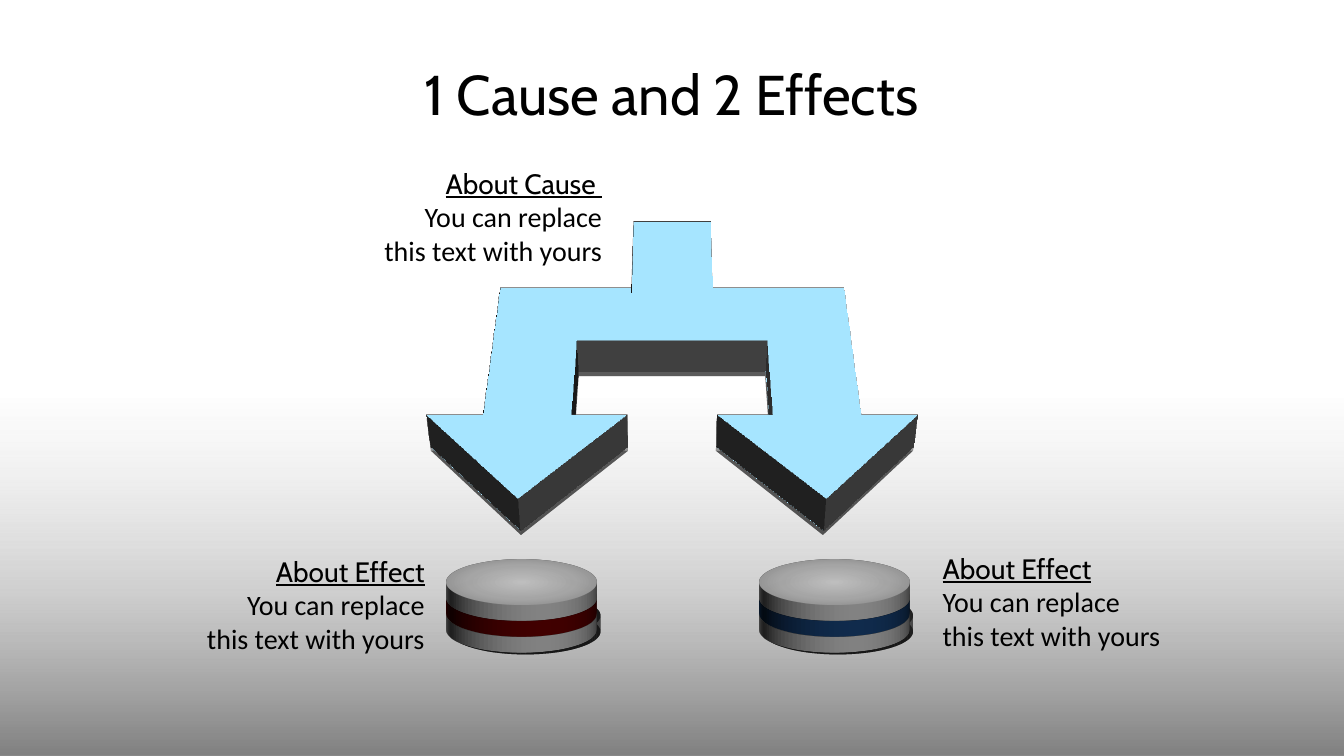
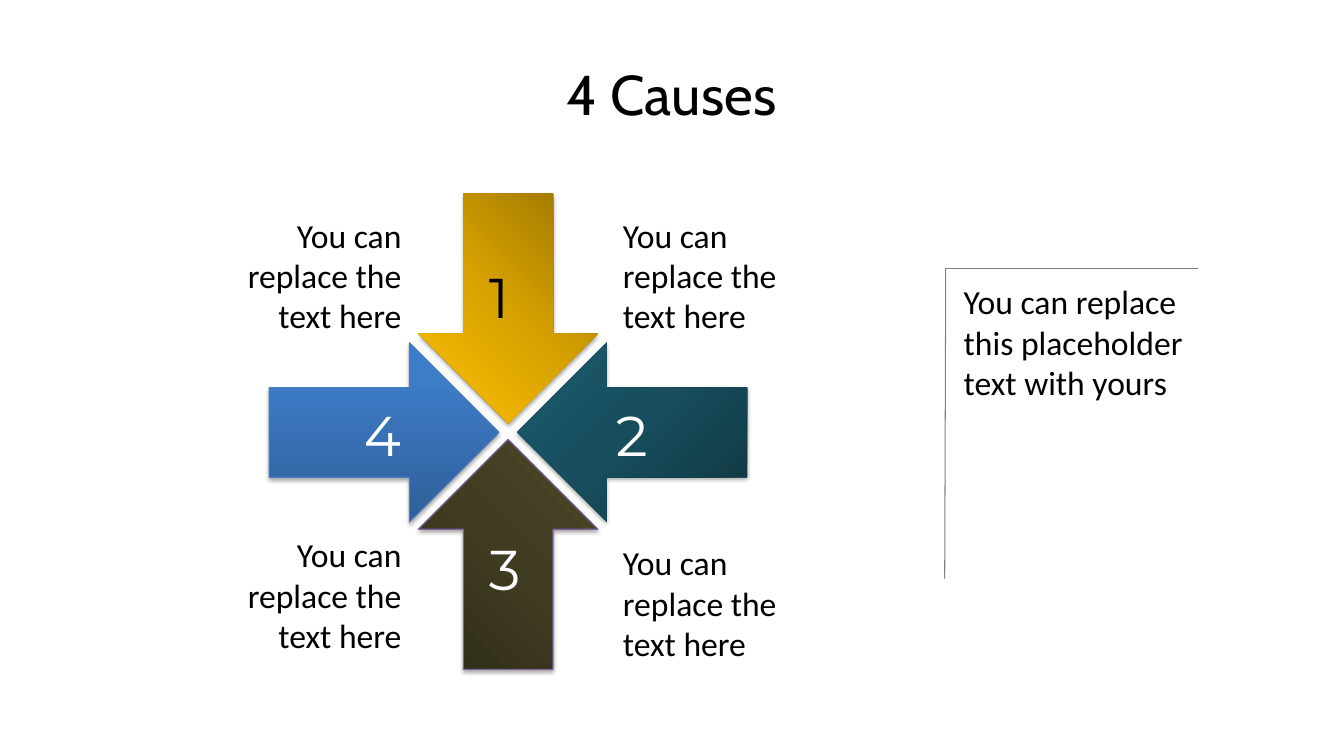
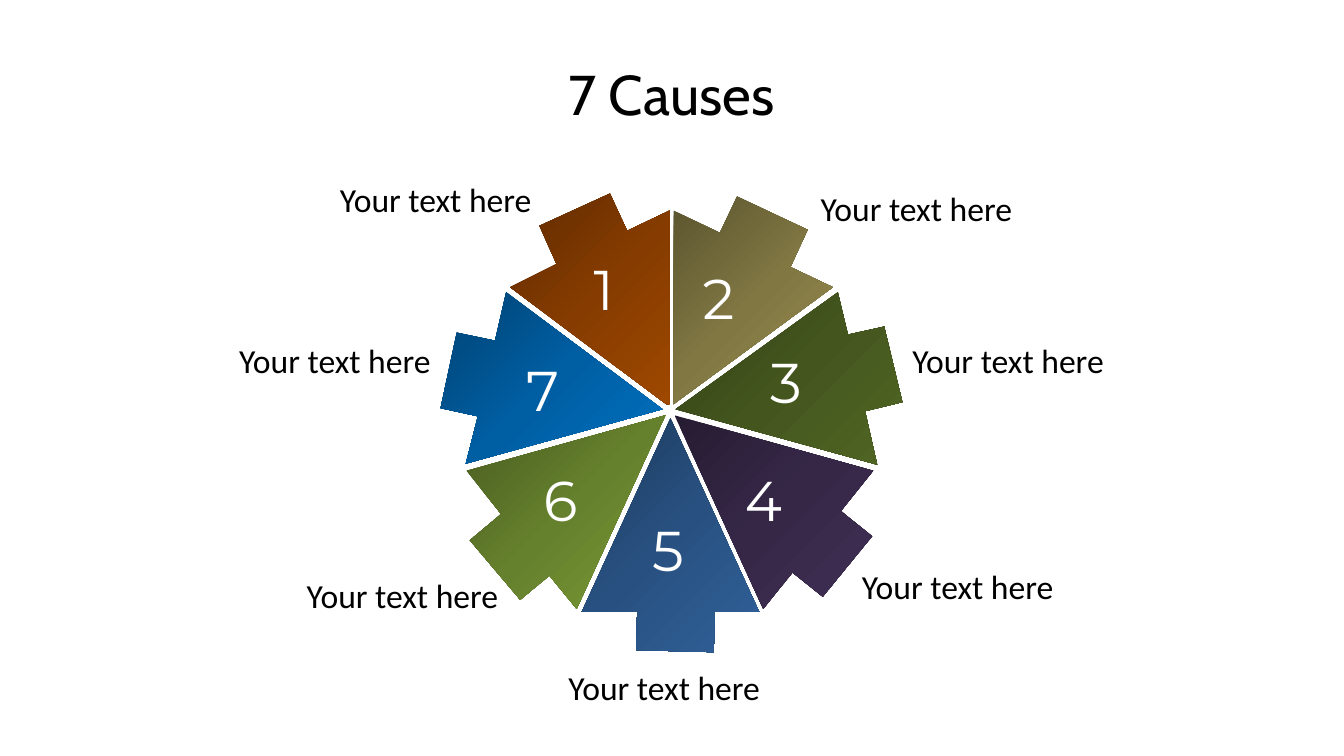
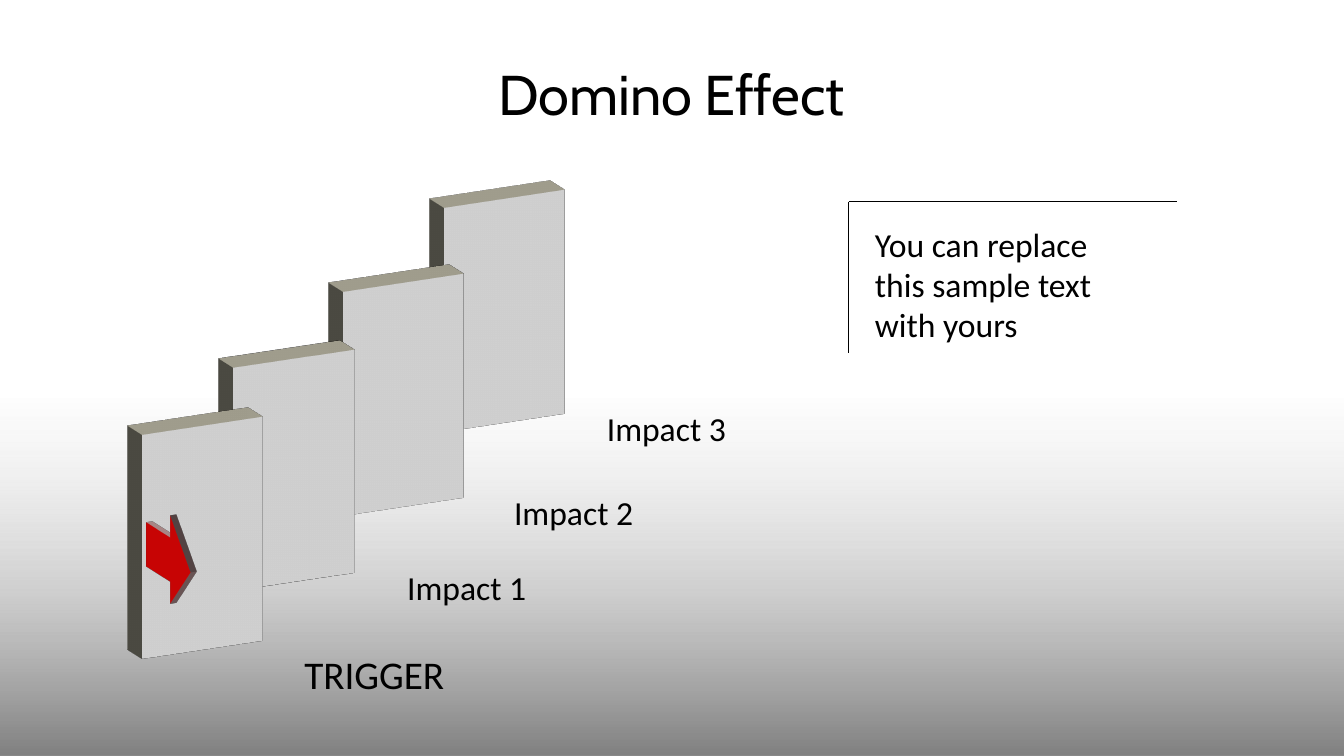
from dataclasses import dataclass

from lxml import etree
from pptx import Presentation
from pptx.dml.color import RGBColor
from pptx.enum.shapes import MSO_CONNECTOR, MSO_SHAPE
from pptx.enum.text import MSO_ANCHOR, PP_ALIGN
from pptx.oxml.ns import qn
from pptx.util import Cm, Pt

LEFT, CENTER, RIGHT = PP_ALIGN.LEFT, PP_ALIGN.CENTER, PP_ALIGN.RIGHT
MIDDLE, TOP = MSO_ANCHOR.MIDDLE, MSO_ANCHOR.TOP
RECTANGLE, OVAL = MSO_SHAPE.RECTANGLE, MSO_SHAPE.OVAL
RIGHT_ARROW = MSO_SHAPE.RIGHT_ARROW
STRAIGHT = MSO_CONNECTOR.STRAIGHT


# Shared look; a gradient stop is (percent, colour, opacity percent)
@dataclass(frozen=True)
class Theme:
    width: float = 13.33
    height: float = 7.5
    black: str = "000000"
    white: str = "FFFFFF"
    gray: str = "808080"
    thin: float = 0.75
    thick: float = 2
    floor: tuple = ((0, "D9D9D9", 4), (46, "BFBFBF", 60), (100, "808080", 100))
    lid: tuple = ((0, "BFBFBF", 100), (50, "A6A6A6", 100), (100, "808080", 100))
    ring: tuple = ((0, "D9D9D9", 100), (50, "BFBFBF", 100), (100, "4A452A", 100))
    fork: str = "2C6AB6"
    domino: str = "BFBFBF"
    push: str = "C00000"


THEME = Theme()
TITLE = {"name": "Cabin", "size": Pt(40)}
HEADING = {"name": "Cabin", "size": Pt(20), "underline": True}
DETAIL = {"name": "Calibri", "size": Pt(20)}
BODY = {"name": "Calibri", "size": Pt(24)}
STRONG = {"name": "Calibri", "size": Pt(28)}
NUMBER = {"name": "Montserrat", "size": Pt(40)}

# Solid looks: camera, turn (latitude, longitude), depth in points, side, material
FORK_SOLID = ("perspectiveRelaxed", (309.6, 0), 30, "808080", "metal")
DISC_VIEW = ("orthographicFront", (288, 0), 12)
DOMINO_SOLID = ("isometricOffAxis1Right", (18, 334), 24, "DDD9C3", "warmMatte")
PUSH_SOLID = ("isometricOffAxis1Left", (18, 64), 5, "E6B9B8", "warmMatte")

# Shadows: opacity percent, blur, distance, direction
FORK_SHADOW = (40, 17, 3, 90)
DISC_SHADOW = (40, 34, 3, 32)
ARROW_SHADOW = (35, 3.1, 1.8, 90)
DOMINO_SHADOW = (20, 6, 0, 315)

# Content; places are in layout units of 2.54 cm
UNIT = 2.54

CAUSE_NOTES = [  # left, top, heading, alignment
    (3.66, 1.6, "About Cause ", RIGHT),
    (1.9, 5.45, "About Effect", RIGHT),
    (9.25, 5.42, "About Effect", LEFT),
]
CAUSE_DETAIL = "You can replace this text with yours"
FORK_HALF = [(0.42, 1.29), (0.42, 2.48), (1.77, 2.48), (1.77, 4.44), (2.3, 4.44),
             (1.36, 5.55), (0.42, 4.44), (0.94, 4.44), (0.94, 3.34)]
DISCS = [(4.43, "800000"), (7.53, "215596")]  # left, stripe colour
DISC_TOPS = (5.35, 5.19, 5.04)

FOUR_TEXT = "You can replace the text here"
FOUR_CAUSES = [  # centre, rotation, colours, angle, text place, number place
    ((5.04, 3.06), 90, ("977200", "D7A200", "FFC000"), 45,
     (6.08, 2.08, LEFT), (4.75, 2.56), THEME.black),
    ((6.27, 4.29), 180, ("103641", "174D5C", "1C5C6D"), 45,
     (6.08, 5.33, LEFT), (6.01, 3.92), THEME.white),
    ((5.04, 5.5), 270, ("2D2A17", "403C21", "4C4727"), 45,
     (2, 5.25, RIGHT), (4.75, 5.25), THEME.white),
    ((3.81, 4.29), 0, ("2F5F99", "3D7CC7", "3A7CCB"), 270,
     (2, 2.08, RIGHT), (3.51, 3.92), THEME.white),
]
FOUR_EDGES = {270: "7D60A0", 0: "4B7EBC"}
FOUR_NOTE = "You can replace this placeholder text with yours"

SEVEN_TEXT = "Your text here"
SEVEN_CAUSES = [  # colours, label place, number place, outline
    (("5E2A00", "863C00", "9E4800"), (2.7, 1.73, RIGHT), (5.79, 2.48),
     [(6.22, 2.29), (6.05, 1.92), (5.35, 2.24), (5.52, 2.62), (5.06, 2.85),
      (6.61, 4.01), (6.64, 4.01), (6.64, 2.09)]),
    (("5A542F", "817743", "998D4F"), (8.04, 1.82, LEFT), (6.87, 2.57),
     [(7.84, 2.65), (8.01, 2.28), (7.31, 1.95), (7.14, 2.31), (6.68, 2.09),
      (6.68, 4.01), (8.26, 2.85)]),
    (("303D15", "44561E", "516624"), (8.95, 3.32, LEFT), (7.54, 3.4),
     [(8.95, 3.99), (8.77, 3.24), (8.41, 3.32), (8.31, 2.9), (6.7, 4.06),
      (8.7, 4.61), (8.58, 4.08)]),
    (("261C32", "362747", "402F54"), (8.45, 5.57, LEFT), (7.29, 4.57),
     [(8.66, 4.67), (6.69, 4.12), (7.57, 6.04), (7.86, 5.68), (8.16, 5.92),
      (8.65, 5.32), (8.34, 5.07)]),
    (("1C395B", "285181", "306099"), (5.54, 6.57, LEFT), (6.37, 5.07),
     [(7.53, 6.07), (6.65, 4.15), (5.77, 6.07), (6.32, 6.07), (6.31, 6.45),
      (7.08, 6.47), (7.09, 6.07)]),
    (("485B20", "66812D", "799936"), (2.37, 5.65, RIGHT), (5.29, 4.57),
     [(6.6, 4.12), (4.63, 4.67), (4.97, 5.1), (4.66, 5.36), (5.16, 5.95),
      (5.45, 5.71), (5.72, 6.04)]),
    (("004272", "005EA2", "0070C0"), (1.7, 3.32, RIGHT), (5.12, 3.48),
     [(6.57, 4.06), (5.02, 2.9), (4.91, 3.38), (4.53, 3.3), (4.37, 4.05),
      (4.74, 4.13), (4.62, 4.6)]),
]

DOMINOES = [(4.34, 1.92), (3.34, 2.75), (2.25, 3.5), (1.34, 4.17)]
DOMINO_LABELS = [  # left, top, width, height, text, style
    (2.92, 6.4, 1.6, 0.57, "TRIGGER", STRONG),
    (3.94, 5.58, 1.39, 0.5, "Impact 1", BODY),
    (5, 4.83, 1.39, 0.5, "Impact 2", BODY),
    (5.92, 4, 1.39, 0.5, "Impact 3", BODY),
]
DOMINO_NOTE = "You can replace this sample text with yours"


# Helpers
def units(*values):
    return [Cm(value * UNIT) for value in values]


def three_stops(colors, middle=50):
    return tuple((place, color, 100)
                 for place, color in zip((0, middle, 100), colors))


def add_color(parent, color, opacity=100):
    tone = etree.SubElement(parent, qn("a:srgbClr"), val=color)
    if opacity < 100:
        etree.SubElement(tone, qn("a:alpha"), val=str(opacity * 1000))


def degrees(value):
    return str(round(value * 60000))


def paint_gradient(shape, stops, angle):
    """Fill with stops; an angle of None spreads them from the centre."""
    shape.fill.background()
    properties = shape._element.spPr
    gradient = etree.Element(qn("a:gradFill"), rotWithShape="1")
    stop_list = etree.SubElement(gradient, qn("a:gsLst"))
    for place, color, opacity in stops:
        stop = etree.SubElement(stop_list, qn("a:gs"), pos=str(place * 1000))
        add_color(stop, color, opacity)
    if angle is None:
        spread = etree.SubElement(gradient, qn("a:path"), path="circle")
        etree.SubElement(spread, qn("a:fillToRect"),
                         dict.fromkeys("ltrb", "50000"))
    else:
        etree.SubElement(gradient, qn("a:lin"), ang=degrees(angle), scaled="0")
    properties.replace(properties.find(qn("a:noFill")), gradient)


def paint(shape, fill, angle=0, edge=None, weight=THEME.thin):
    shape.shadow.inherit = False
    if isinstance(fill, str):
        shape.fill.solid()
        shape.fill.fore_color.rgb = RGBColor.from_string(fill)
    else:
        paint_gradient(shape, fill, angle)
    if edge:
        shape.line.color.rgb = RGBColor.from_string(edge)
        shape.line.width = Pt(weight)
    else:
        shape.line.fill.background()
    return shape


def add_shadow(shape, opacity, blur, distance, direction):
    effects = shape._element.spPr.find(qn("a:effectLst"))
    shadow = etree.SubElement(effects, qn("a:outerShdw"), blurRad=str(Pt(blur)),
                              dist=str(Pt(distance)), dir=degrees(direction),
                              rotWithShape="0")
    add_color(shadow, THEME.black, opacity)


def make_solid(shape, camera, turn, depth, side, material):
    """Give a flat shape real depth, seen by a turned camera."""
    properties = shape._element.spPr
    scene = etree.SubElement(properties, qn("a:scene3d"))
    view = etree.SubElement(scene, qn("a:camera"), prst=camera)
    etree.SubElement(view, qn("a:rot"), lat=degrees(turn[0]),
                     lon=degrees(turn[1]), rev="0")
    etree.SubElement(scene, qn("a:lightRig"), rig="threePt", dir="t")
    body = etree.SubElement(properties, qn("a:sp3d"), extrusionH=str(Pt(depth)),
                            prstMaterial=material)
    add_color(etree.SubElement(body, qn("a:extrusionClr")), side)


def add_preset(page, kind, place, fill, angle=0, edge=None, weight=THEME.thin):
    shape = page.shapes.add_shape(kind, *units(*place))
    return paint(shape, fill, angle, edge, weight)


def add_outline(page, points, fill, angle=0):
    corners = [tuple(units(*point)) for point in points]
    builder = page.shapes.build_freeform(*corners[0])
    builder.add_line_segments(corners[1:], close=True)
    return paint(builder.convert_to_shape(), fill, angle)


def add_text(page, place, lines, align=LEFT, color=THEME.black,
             wrap=True, anchor=TOP):
    """Lines are (text, style) pairs, one paragraph each."""
    box = page.shapes.add_textbox(*units(*place))
    frame = box.text_frame
    frame.word_wrap = wrap
    frame.vertical_anchor = anchor
    for index, (text, style) in enumerate(lines):
        para = frame.add_paragraph() if index else frame.paragraphs[0]
        para.alignment = align
        span = para.add_run()
        span.text = text
        for name, value in style.items():
            setattr(span.font, name, value)
        span.font.color.rgb = RGBColor.from_string(color)


def add_number(page, place, number, color=THEME.white):
    add_text(page, (*place, 0.58, 0.77), [(str(number), NUMBER)],
             color=color, wrap=False)


def add_bracket(page, left, top, width, height, color, lean=0):
    for right, bottom in ((left - lean, top + height), (left + width, top)):
        line = page.shapes.add_connector(STRAIGHT, *units(left, top, right, bottom))
        line.line.color.rgb = RGBColor.from_string(color)
        line.line.width = Pt(THEME.thin)
        etree.SubElement(line._element.spPr, qn("a:effectLst"))


def start_page(deck, title, floor=False):
    page = deck.slides.add_slide(deck.slide_layouts[6])
    if floor:
        add_preset(page, RECTANGLE, (0, 3.95, THEME.width, 3.55), THEME.floor, 90)
    add_text(page, (0.66, 0.3, 12, 1.25), [(title, TITLE)], CENTER, anchor=MIDDLE)
    return page


# One cause, two effects
def build_two_effects(deck):
    page = start_page(deck, "1 Cause and 2 Effects", floor=True)
    middle = THEME.width / 2
    outline = [(middle + x, y) for x, y in FORK_HALF]
    outline += [(middle - x, y) for x, y in reversed(FORK_HALF)]
    fork = add_outline(page, outline, THEME.fork)
    add_shadow(fork, *FORK_SHADOW)
    make_solid(fork, *FORK_SOLID)
    for left, stripe in DISCS:
        layers = zip(DISC_TOPS, (THEME.ring, THEME.ring, THEME.lid),
                     (THEME.white, stripe, THEME.white))
        for level, (top, fill, side) in enumerate(layers):
            disc = add_preset(page, OVAL, (left, top, 1.49, 1.47), fill, None,
                              THEME.gray, THEME.thick)
            if level == 0:
                add_shadow(disc, *DISC_SHADOW)
            make_solid(disc, *DISC_VIEW, side, "warmMatte")
    for left, top, heading, align in CAUSE_NOTES:
        add_text(page, (left, top, 2.41, 1.11),
                 [(heading, HEADING), (CAUSE_DETAIL, DETAIL)], align)


# Four arrows meeting
def build_four_causes(deck):
    page = start_page(deck, "4 Causes")
    width, height = 2.28, 1.78
    for number, cause in enumerate(FOUR_CAUSES, 1):
        (x, y), turn, colors, angle, (left, top, align), spot, ink = cause
        arrow = add_preset(page, RIGHT_ARROW,
                           (x - width / 2, y - height / 2, width, height),
                           three_stops(colors, 80 if angle == 270 else 50),
                           angle, FOUR_EDGES.get(turn))
        arrow.rotation = turn
        add_shadow(arrow, *ARROW_SHADOW)
        add_text(page, (left, top, 2.08, 1.31), [(FOUR_TEXT, BODY)], align)
        add_number(page, spot, number, ink)
    add_text(page, (9.46, 2.74, 2.5, 1.72), [(FOUR_NOTE, BODY)])
    add_bracket(page, 9.38, 2.66, 2.5, 3.08, THEME.gray, 0.01)


# Seven wedges
def build_seven_causes(deck):
    page = start_page(deck, "7 Causes")
    for number, (colors, label, spot, points) in enumerate(SEVEN_CAUSES, 1):
        left, top, align = label
        add_outline(page, points, three_stops(colors), 45)
        add_text(page, (left, top, 2.67, 0.5), [(SEVEN_TEXT, BODY)], align)
        add_number(page, spot, number)


# Row of dominoes
def build_domino_effect(deck):
    page = start_page(deck, "Domino Effect", floor=True)
    for left, top in DOMINOES:
        domino = add_preset(page, RECTANGLE, (left, top, 1.33, 2.33), THEME.domino)
        add_shadow(domino, *DOMINO_SHADOW)
        make_solid(domino, *DOMINO_SOLID)
    push = add_preset(page, RIGHT_ARROW, (1.17, 5.08, 1, 0.92), THEME.push,
                      edge=THEME.push, weight=THEME.thick)
    make_solid(push, *PUSH_SOLID)
    for left, top, width, height, text, style in DOMINO_LABELS:
        add_text(page, (left, top, width, height), [(text, style)], wrap=False)
    add_text(page, (8.58, 2.17, 2.74, 1.33), [(DOMINO_NOTE, BODY)])
    add_bracket(page, 8.42, 2, 3.25, 1.5, THEME.black)


def main():
    deck = Presentation()
    deck.slide_width, deck.slide_height = units(THEME.width, THEME.height)
    for build in (build_two_effects, build_four_causes,
                  build_seven_causes, build_domino_effect):
        build(deck)
    deck.save("out.pptx")


if __name__ == "__main__":
    main()
